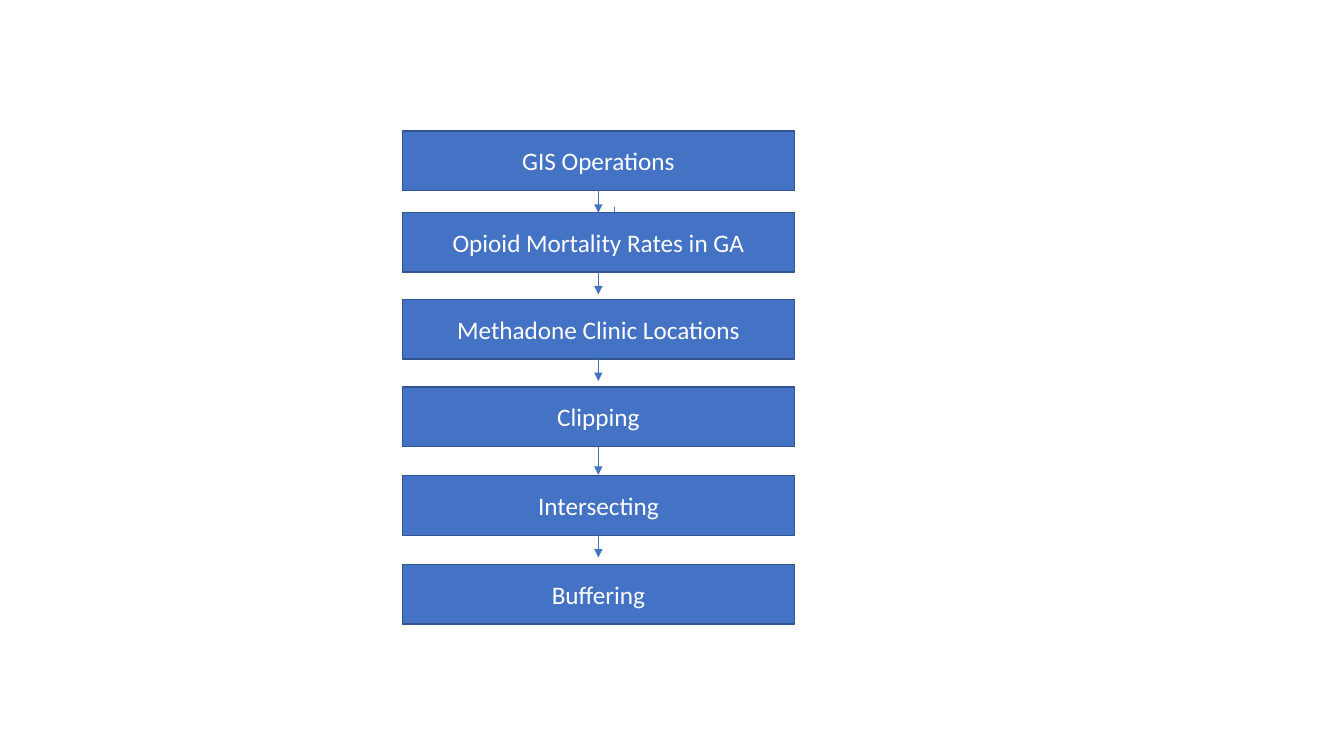
import pptx
import pptx.util
import pptx.dml.color
import pptx.enum.shapes
import pptx.enum.text
import lxml.etree

Inches = pptx.util.Inches
Pt = pptx.util.Pt


def paint(form, hue):
    form.solid()
    form.fore_color.rgb = pptx.dml.color.RGBColor.from_string(hue)


deck = pptx.Presentation()
deck.slide_width = Inches(13.33)
deck.slide_height = Inches(7.5)
slide = deck.slides.add_slide(deck.slide_layouts[6])

left, wide, high = 3.99, 3.89, 0.59
mid = left + wide / 2
short, long = 0.22, 0.28
steps = [
    ("GIS Operations", 1.3, short),
    ("Opioid Mortality Rates in GA", 2.11, short),
    ("Methadone Clinic Locations", 2.97, short),
    ("Clipping", 3.84, long),
    ("Intersecting", 4.72, short),
    ("Buffering", 5.6, 0),
]

for label, top, drop in steps:
    box = slide.shapes.add_shape(
        pptx.enum.shapes.MSO_SHAPE.RECTANGLE,
        Inches(left), Inches(top), Inches(wide), Inches(high))
    box.shadow.inherit = False
    paint(box.fill, "4472C4")
    paint(box.line.fill, "325491")
    box.line.width = Pt(1)
    frame = box.text_frame
    frame.word_wrap = True
    frame.vertical_anchor = pptx.enum.text.MSO_ANCHOR.MIDDLE
    para = frame.paragraphs[0]
    para.text = label
    para.alignment = pptx.enum.text.PP_ALIGN.CENTER
    para.font.name = "Calibri"
    para.font.size = Pt(18)
    paint(para.font.fill, "FFFFFF")

links = [(mid, top + high, drop) for _, top, drop in steps if drop]
links.append((mid + 0.16, 2.05, short))

for x, y, drop in links:
    link = slide.shapes.add_connector(
        pptx.enum.shapes.MSO_CONNECTOR.STRAIGHT,
        Inches(x), Inches(y), Inches(x), Inches(y + drop))
    paint(link.line.fill, "4472C4")
    link.line.width = Pt(0.5)
    props = link.element.spPr
    edge = link.line._get_or_add_ln()
    tail = lxml.etree.SubElement(edge, pptx.oxml.ns.qn("a:tailEnd"))
    tail.set("type", "triangle")
    lxml.etree.SubElement(props, pptx.oxml.ns.qn("a:effectLst"))

deck.save("out.pptx")
